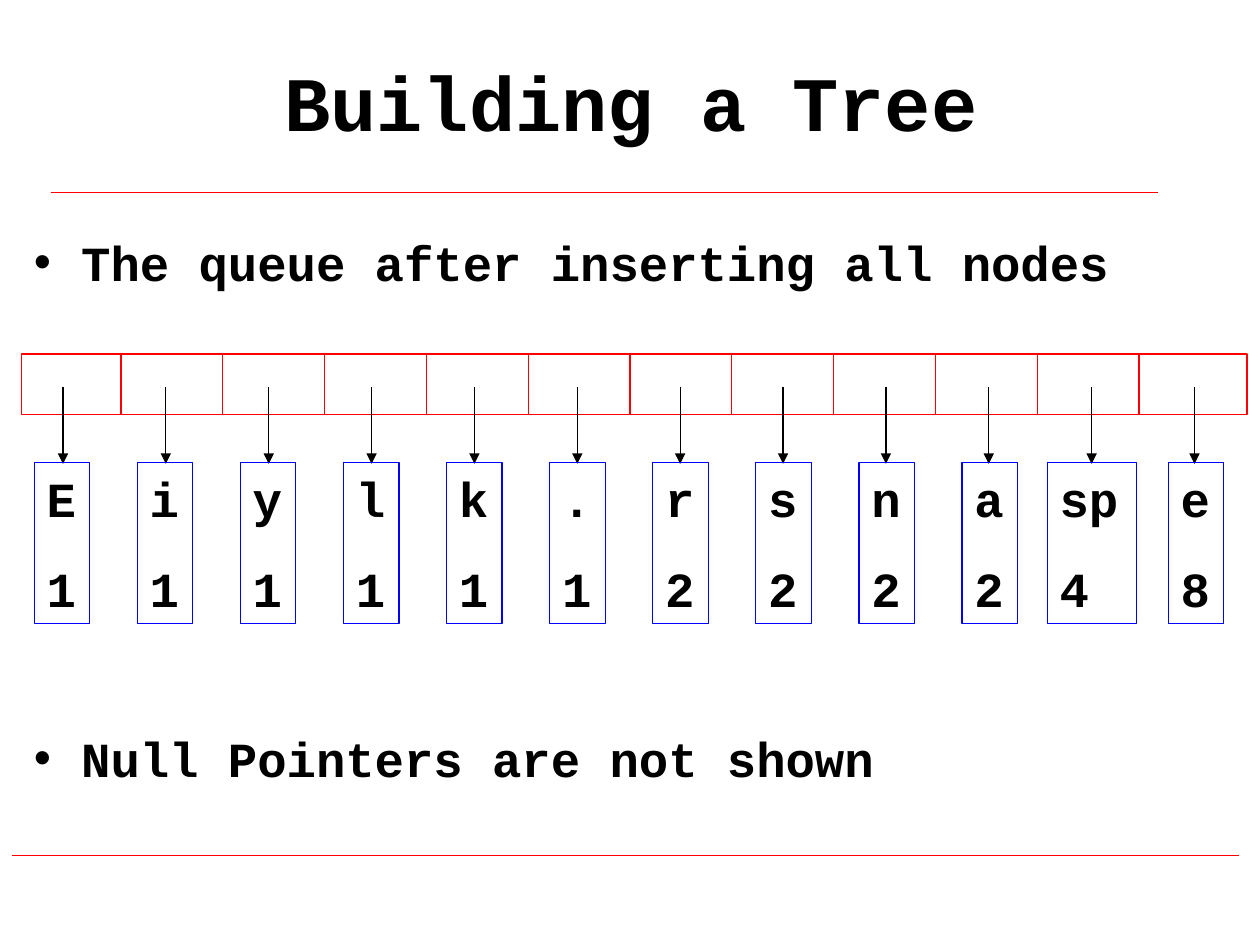
from lxml import etree
from pptx import Presentation
from pptx.dml import color
from pptx.enum import shapes, text
from pptx.oxml import ns
from pptx.util import Cm, Pt

COLOURS = {"ink": "000000", "queue": "FF0000", "node": "0000FF", "paper": "FFFFFF"}
FONT = {"name": "Courier New", "bold": True}
NODES = [("E", 1), ("i", 1), ("y", 1), ("l", 1), ("k", 1), (".", 1),
         ("r", 2), ("s", 2), ("n", 2), ("a", 2), ("sp", 4), ("e", 8)]


def colour(name):
    return color.RGBColor.from_string(COLOURS[name])


def spread(first, last, count):
    """Evenly spaced positions from first to last."""
    return [first + (last - first) * i / (count - 1) for i in range(count)]


def place(item, left, top, width, height):
    for side, value in zip(("left", "top", "width", "height"), (left, top, width, height)):
        setattr(item, side, Cm(value))


def write(frame, lines, size, gap=0, **margins):
    """Fill a text frame, one paragraph a line, with gap points between them."""
    frame.word_wrap = True
    frame.auto_size = text.MSO_AUTO_SIZE.NONE
    for side, value in margins.items():
        setattr(frame, "margin_" + side, Cm(value))
    frame.text = "\n".join(lines)
    for i, para in enumerate(frame.paragraphs):
        para.space_before = Pt(gap if i else 0)
        for span in para.runs:
            for key, value in dict(FONT, size=Pt(size)).items():
                setattr(span.font, key, value)
            span.font.color.rgb = colour("ink")


def add_line(page, x1, y1, x2, y2, name, arrow=False):
    line = page.shapes.add_connector(
        shapes.MSO_CONNECTOR.STRAIGHT, Cm(x1), Cm(y1), Cm(x2), Cm(y2))
    line.line.color.rgb = colour(name)
    line.line.width = Pt(0.75)
    if arrow:
        etree.SubElement(line.get_or_add_ln(), ns.qn("a:tailEnd"), type="triangle")
    etree.SubElement(line._element.spPr, ns.qn("a:effectLst"))


def add_box(page, left, top, width, height, name, fill=None):
    box = page.shapes.add_shape(
        shapes.MSO_SHAPE.RECTANGLE, Cm(left), Cm(top), Cm(width), Cm(height))
    box.shadow.inherit = False
    box.line.color.rgb = colour(name)
    box.line.width = Pt(0.75)
    if fill:
        box.fill.solid()
        box.fill.fore_color.rgb = colour(fill)
    else:
        box.fill.background()
    return box


def add_title(page, left, top, width, height):
    title = page.shapes.title
    place(title, left, top, width, height)
    write(title.text_frame, ["Building a Tree"], 44)
    title.text_frame.paragraphs[0].alignment = text.PP_ALIGN.CENTER


def add_bullets(page, left, top, width, height):
    body = page.placeholders[1]
    place(body, left, top, width, height)
    # The wide gap leaves room for the queue diagram
    write(body.text_frame,
          ["The queue after inserting all nodes", "Null Pointers are not shown"],
          28, gap=250, top=0.13)


def add_queue(page, left, top, width, height):
    add_box(page, left, top, width, height, "queue", "paper")
    for x in spread(left + 2.01, left + 22.53, len(NODES) - 1):
        add_line(page, x, top, x, top + height, "queue")


def add_nodes(page, left, top, width, height):
    pointers = spread(left + 0.58, left + 23.39, len(NODES))
    lefts = spread(left, left + 22.86, len(NODES))
    for x in pointers:
        add_line(page, x, top - 1.52, x, top + 0.03, "ink", arrow=True)
    for x, (symbol, count) in zip(lefts, NODES):
        wide = len(symbol) > 1
        # A two-letter symbol gets a wider box, set a little to the left
        box = add_box(page, x - 0.36 if wide else x, top,
                      width + 0.68 if wide else width, height, "node")
        box.text_frame.vertical_anchor = text.MSO_ANCHOR.TOP
        write(box.text_frame, [symbol, str(count)], 28, gap=17.5,
              left=0.25, right=0.25, top=0.13, bottom=0.13)
        for para in box.text_frame.paragraphs:
            para.alignment = text.PP_ALIGN.LEFT


def main():
    deck = Presentation()
    deck.slide_width, deck.slide_height = Cm(25.4), Cm(19.05)
    page = deck.slides.add_slide(deck.slide_layouts[1])
    # Rules under the title and above the foot
    add_line(page, 1.02, 3.88, 23.34, 3.88, "queue")
    add_line(page, 0.25, 17.25, 24.97, 17.25, "queue")
    # Text
    add_title(page, 1.93, 0.43, 21.59, 3.18)
    add_bullets(page, 0.43, 4.55, 24.97, 11.43)
    # Diagram
    add_queue(page, 0.43, 7.14, 24.71, 1.22)
    add_nodes(page, 0.69, 9.32, 1.12, 3.25)
    deck.save("out.pptx")


if __name__ == "__main__":
    main()
